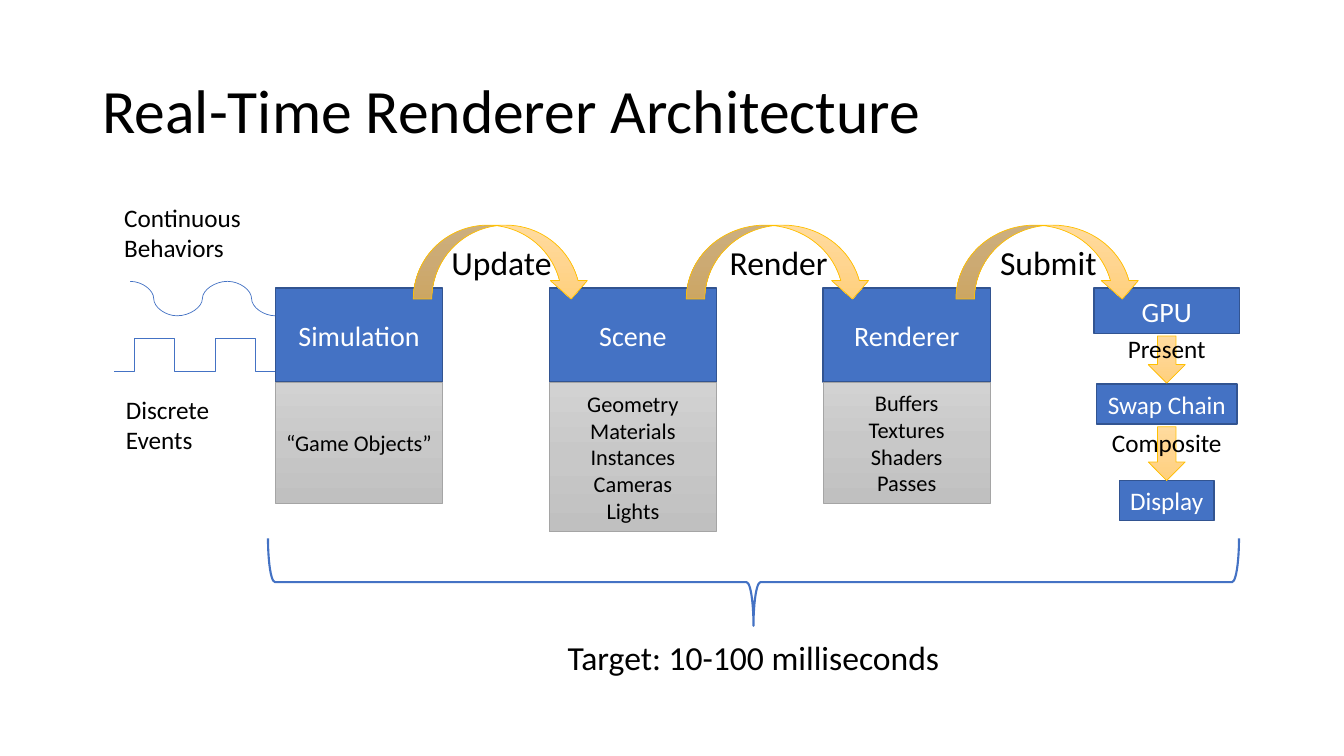
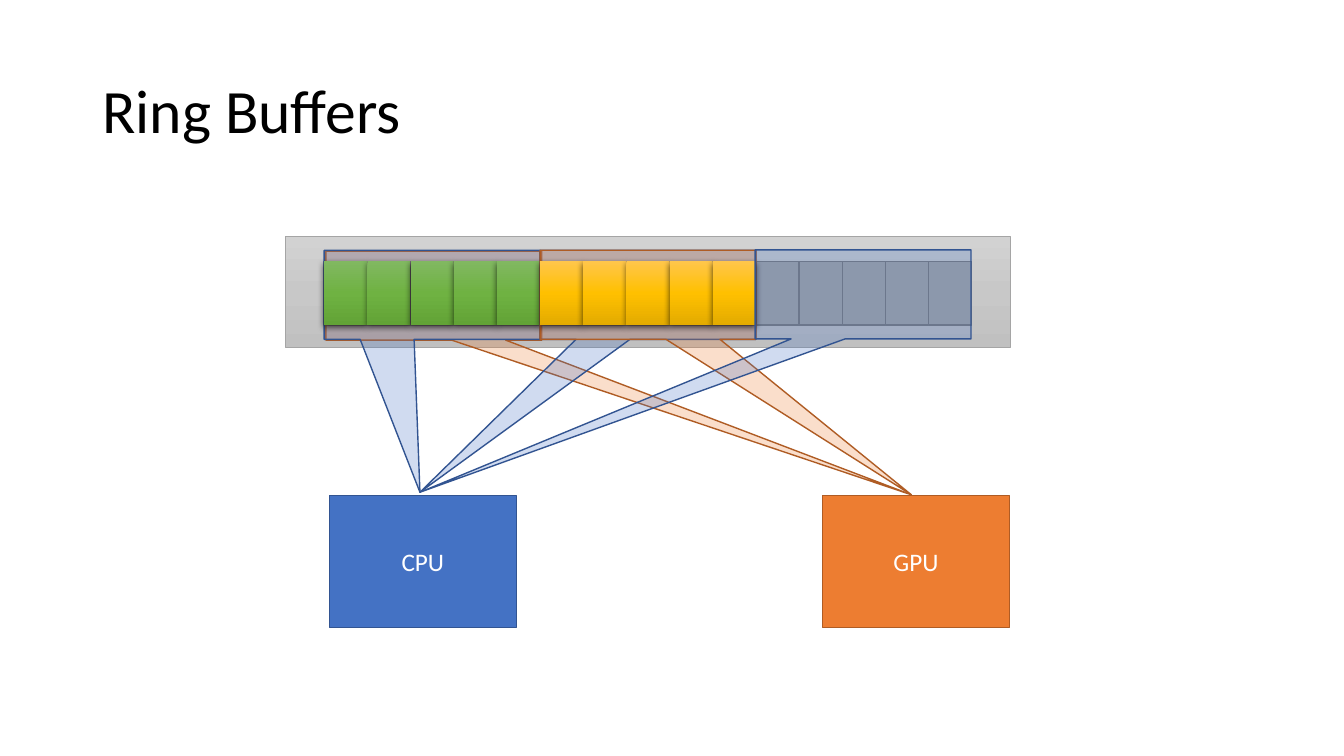
from dataclasses import dataclass
from itertools import pairwise
from typing import Optional

import pptx
import pptx.dml.color
import pptx.enum.shapes
import pptx.enum.text
import pptx.oxml.ns
import pptx.shapes.autoshape
import pptx.slide
import pptx.util
from lxml import etree

SHAPE = pptx.enum.shapes.MSO_SHAPE
CONNECTOR = pptx.enum.shapes.MSO_CONNECTOR
ALIGN = pptx.enum.text.PP_ALIGN
ANCHOR = pptx.enum.text.MSO_ANCHOR
Shape = pptx.shapes.autoshape.Shape
Slide = pptx.slide.Slide
qn = pptx.oxml.ns.qn

# The slide is a grid of square cells; every length below counts cells
COLS, ROWS = 160, 90
CELL = pptx.util.Inches(7.5) // ROWS
FONT = "Calibri"

COLORS = {
    "black": "000000", "white": "FFFFFF",
    "blue": "4472C4", "blue edge": "325491",
    "orange": "ED7D31", "orange edge": "AF5C24",
    "gray": "A5A5A5", "gray edge": "7A7A7A", "gold": "FFC000",
}
# Vertical blends: top, middle, bottom
BLENDS = {
    "silver": ("D2D2D2", "C8C8C8", "C0C0C0"),
    "cream": ("FFDB9E", "FFD590", "FFD07C"),
    "green": ("81B861", "6FB242", "62A336"),
    "yellow": ("FFC64B", "FFC000", "E3AB00"),
}


@dataclass
class Box:
    left: float
    top: float
    width: float
    height: float

    def emu(self) -> list[int]:
        return [cells(v) for v in (self.left, self.top, self.width, self.height)]


@dataclass
class Look:
    fill: Optional[str] = None
    line: Optional[str] = None
    weight: float = 1
    alpha: int = 100
    shadow: bool = False


@dataclass
class Stage:
    name: str
    details: str
    detail_rows: float


@dataclass
class Step:
    text: str
    left: float
    width: float


@dataclass
class Output:
    name: str
    top: float
    width: float
    height: float
    size: int


@dataclass
class Transfer:
    text: str
    text_top: float
    text_width: float
    top: float
    height: float


@dataclass
class Processor:
    name: str
    left: float
    color: str
    tip: tuple[float, float]


@dataclass
class Callout:
    owner: Processor
    segment: int
    nudge: float = 0


BLUE = Look("blue", "blue edge")
SILVER = Look("silver", "gray", 0.5)
CREAM = Look("cream", "gold", 0.5)


# Drawing helpers
def cells(n: float) -> int:
    return round(n * CELL)


def rgb(name: str) -> pptx.dml.color.RGBColor:
    return pptx.dml.color.RGBColor.from_string(COLORS[name])


def write(sp: Shape, text: str, size: float, color: str = "black",
          align: ALIGN = ALIGN.CENTER) -> None:
    tf = sp.text_frame
    tf.word_wrap = True
    tf.text = text
    for p in tf.paragraphs:
        p.alignment = align
        p.font.name, p.font.size = FONT, pptx.util.Pt(size)
        p.font.color.rgb = rgb(color)


def blend(sp: Shape, stops: tuple[str, str, str]) -> None:
    sp.fill.gradient()
    sp.fill.gradient_angle = 270
    gs_list = sp._element.spPr.find(".//" + qn("a:gsLst"))
    for gs in list(gs_list):
        gs_list.remove(gs)
    for i, color in enumerate(stops):
        gs = etree.SubElement(gs_list, qn("a:gs"), pos=str(i * 50000))
        etree.SubElement(gs, qn("a:srgbClr"), val=color)


def drop_shadow(sp: Shape) -> None:
    effects = sp._element.spPr.find(qn("a:effectLst"))
    shadow = etree.SubElement(effects, qn("a:outerShdw"), blurRad="57150",
                              dist="19050", dir="5400000", algn="ctr", rotWithShape="0")
    color = etree.SubElement(shadow, qn("a:srgbClr"), val=COLORS["black"])
    etree.SubElement(color, qn("a:alpha"), val="63000")


def draw(s: Slide, kind: SHAPE, box: Box, look: Look, text: str = "",
         size: float = 18, color: str = "black") -> Shape:
    sp = s.shapes.add_shape(kind, *box.emu())
    sp.shadow.inherit = False
    if look.fill is None:
        sp.fill.background()
    elif look.fill in BLENDS:
        blend(sp, BLENDS[look.fill])
    else:
        sp.fill.solid()
        sp.fill.fore_color.rgb = rgb(look.fill)
        if look.alpha < 100:
            clr = sp._element.spPr.find(qn("a:solidFill"))[0]
            etree.SubElement(clr, qn("a:alpha"), val=str(look.alpha * 1000))
    if look.line is None:
        sp.line.fill.background()
    else:
        sp.line.color.rgb = rgb(look.line)
        sp.line.width = pptx.util.Pt(look.weight)
    if look.shadow:
        drop_shadow(sp)
    if text:
        write(sp, text, size, color)
    return sp


def label(s: Slide, box: Box, text: str, size: float = 18,
          align: ALIGN = ALIGN.CENTER) -> None:
    write(s.shapes.add_textbox(*box.emu()), text, size, align=align)


def signal(s: Slide, kind: CONNECTOR, points: list[tuple[float, float]]) -> None:
    for start, end in pairwise(points):
        c = s.shapes.add_connector(kind, *(cells(v) for v in start + end))
        c.line.color.rgb = rgb("blue")
        c.line.width = pptx.util.Pt(0.5)
        etree.SubElement(c._element.spPr, qn("a:effectLst"))


def titled_slide(prs: pptx.presentation.Presentation, title: str) -> Slide:
    s = prs.slides.add_slide(prs.slide_layouts[5])
    sp = s.shapes.title
    sp.left, sp.top, sp.width, sp.height = Box(11, 4.8, 138, 17.4).emu()
    write(sp, title, 44, align=ALIGN.LEFT)
    sp.text_frame.vertical_anchor = ANCHOR.MIDDLE
    sp.text_frame.paragraphs[0].line_spacing = 0.9
    return s


# Slide 1: pipeline from simulation to display
STAGES = [
    Stage("Simulation", "“Game Objects”", 14.4),
    Stage("Scene", "Geometry\nMaterials\nInstances\nCameras\nLights", 17.8),
    Stage("Renderer", "Buffers\nTextures\nShaders\nPasses", 14.4),
]
STEPS = [Step("Update", 49.2, 21), Step("Render", 81.7, 22), Step("Submit", 113.8, 22)]
OUTPUTS = [
    Output("GPU", 34.3, 17.3, 5.4, 20),
    Output("Swap Chain", 45.7, 16.7, 4.8, 18),
    Output("Display", 57.2, 11.3, 4.8, 18),
]
TRANSFERS = [
    Transfer("Present", 39.1, 13, 40, 5.6),
    Transfer("Composite", 50.3, 16.4, 50.8, 6.4),
]
STAGE_LEFT, STAGE_TOP, STAGE_PITCH = 32.8, 34.3, 32.6
STAGE_WIDTH, STAGE_HEIGHT = 19.9, 11.2
OUTPUT_CENTER = 138.9


def centered(top: float, width: float, height: float) -> Box:
    return Box(OUTPUT_CENTER - width / 2, top, width, height)


def architecture(prs: pptx.presentation.Presentation) -> None:
    s = titled_slide(prs, "Real-Time Renderer Architecture")

    # Input signals
    signal(s, CONNECTOR.CURVE, [(15.5, 33.5), (21.1, 37.6), (27.1, 33.5), (32.8, 37.6)])
    signal(s, CONNECTOR.ELBOW,
           [(13.6 + 4.8 * i, 40.3 if i % 2 else 44.2) for i in range(5)])
    label(s, Box(13.6, 23.5, 19, 8.5), "Continuous Behaviors", align=ALIGN.LEFT)
    label(s, Box(13.8, 46.3, 16, 8.5), "Discrete Events", align=ALIGN.LEFT)

    # Stages and what they hold
    for i, stage in enumerate(STAGES):
        left = STAGE_LEFT + i * STAGE_PITCH
        draw(s, SHAPE.RECTANGLE, Box(left, STAGE_TOP, STAGE_WIDTH, STAGE_HEIGHT),
             BLUE, stage.name, 20, "white")
        draw(s, SHAPE.RECTANGLE,
             Box(left, STAGE_TOP + STAGE_HEIGHT, STAGE_WIDTH, stage.detail_rows),
             SILVER, stage.details, 16)

    # Output column
    for out in OUTPUTS:
        draw(s, SHAPE.RECTANGLE, centered(out.top, out.width, out.height),
             BLUE, out.name, out.size, "white")
    for t in TRANSFERS:
        draw(s, SHAPE.DOWN_ARROW, centered(t.top, 4.4, t.height), CREAM)
        label(s, centered(t.text_top, t.text_width, 4.8), t.text)

    # Steps between stages
    for step in STEPS:
        draw(s, SHAPE.CURVED_DOWN_ARROW, Box(step.left, 26.8, step.width, 8.8),
             CREAM, step.text, 24)

    # Time budget
    brace = draw(s, SHAPE.RIGHT_BRACE, Box(84.5, 11.5, 10.4, 115.6),
                 Look(line="blue", weight=1.5))
    brace.rotation = 90
    brace.adjustments[0], brace.adjustments[1] = 0.08, 0.5
    label(s, Box(65.4, 75.2, 48.6, 6), "Target: 10-100 milliseconds", 24)


# Slide 2: ring buffer shared by two processors
CPU = Processor("CPU", 39.2, "blue", (50, 58.6))
GPU = Processor("GPU", 97.9, "orange", (108.5, 58.9))
RING_LEFT, SEGMENT_WIDTH, SLOTS = 38.6, 25.7, 5


def segment_slots(s: Slide, segment: int, look: Look) -> None:
    width = SEGMENT_WIDTH / SLOTS
    for i in range(SLOTS):
        left = RING_LEFT + segment * SEGMENT_WIDTH + i * width
        draw(s, SHAPE.RECTANGLE, Box(left, 31.1, width, 7.6), look)


def callout(s: Slide, c: Callout) -> None:
    box = Box(RING_LEFT + c.segment * SEGMENT_WIDTH + c.nudge, 29.8 + c.nudge / 2,
              SEGMENT_WIDTH, 10.6)
    color = c.owner.color
    sp = draw(s, SHAPE.RECTANGULAR_CALLOUT, box, Look(color, color + " edge", alpha=25))
    x, y = c.owner.tip
    sp.adjustments[0] = (x - box.left) / box.width - 0.5
    sp.adjustments[1] = (y - box.top) / box.height - 0.5


def ring_buffers(prs: pptx.presentation.Presentation) -> None:
    s = titled_slide(prs, "Ring Buffers")
    draw(s, SHAPE.RECTANGLE, Box(34, 28.2, 86.3, 13.2), SILVER)
    for segment in range(3):
        segment_slots(s, segment, Look("gray", "gray edge"))
    for unit in (CPU, GPU):
        draw(s, SHAPE.RECTANGLE, Box(unit.left, 59, 22.3, 15.7),
             Look(unit.color, unit.color + " edge"), unit.name, 18, "white")

    # Access windows, with filled slots on top
    callout(s, Callout(GPU, 0, 0.2))
    callout(s, Callout(CPU, 0))
    segment_slots(s, 0, Look("green", shadow=True))
    callout(s, Callout(CPU, 1))
    callout(s, Callout(GPU, 1))
    segment_slots(s, 1, Look("yellow", shadow=True))
    callout(s, Callout(CPU, 2, -0.1))


def main() -> None:
    prs = pptx.Presentation()
    prs.slide_width, prs.slide_height = cells(COLS), cells(ROWS)
    architecture(prs)
    ring_buffers(prs)
    prs.save("out.pptx")


if __name__ == "__main__":
    main()
